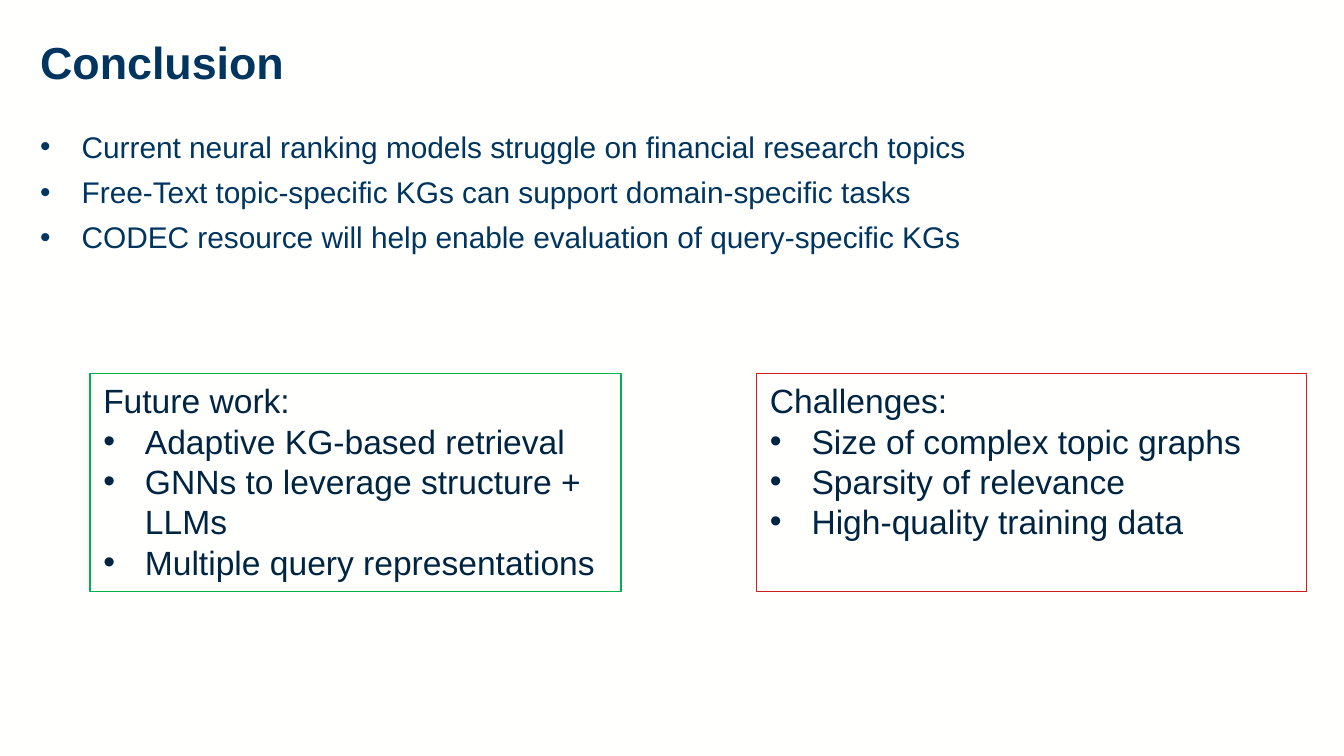
import pptx
import pptx.dml.color
import pptx.enum.shapes
import pptx.enum.text
import pptx.oxml
import pptx.oxml.ns
import pptx.util

Inches = pptx.util.Inches
Pt = pptx.util.Pt

COLOURS = {
    "background": "FFFFFE",
    "navy": "003560",
    "ink": "002542",
    "green": "00B050",
    "red": "CF1C20",
}


def colour(name):
    """Return the named colour."""
    return pptx.dml.color.RGBColor.from_string(COLOURS[name])


def write(paragraph, text, size, ink, bold=False, bullet=False, after=0):
    """Fill one paragraph with formatted text."""
    paragraph.alignment = pptx.enum.text.PP_ALIGN.LEFT
    paragraph.space_after = Pt(after)
    if bullet:
        properties = paragraph._p.get_or_add_pPr()
        indent = Inches(0.31)
        properties.set("marL", str(indent))
        properties.set("indent", str(-indent))
        for tag, key, value in (("buFont", "typeface", "Arial"), ("buChar", "char", "•")):
            element = pptx.oxml.parse_xml(f"<a:{tag} {pptx.oxml.ns.nsdecls('a')}/>")
            element.set(key, value)
            properties.append(element)
    run = paragraph.add_run()
    run.text = text
    run.font.name = "Arial"
    run.font.size = Pt(size)
    run.font.bold = bold
    run.font.color.rgb = colour(ink)


class SlideBuilder:
    """Hold the slide and the style of its elements."""

    def __init__(self, slide):
        """Set the slide and its background."""
        self.slide = slide
        slide.background.fill.solid()
        slide.background.fill.fore_color.rgb = colour("background")

    def fill_frame(self, shape, lines):
        """Write the lines as paragraphs of the shape."""
        frame = shape.text_frame
        frame.word_wrap = True
        frame.vertical_anchor = pptx.enum.text.MSO_ANCHOR.TOP
        for index, (text, style) in enumerate(lines):
            paragraph = frame.add_paragraph() if index else frame.paragraphs[0]
            write(paragraph, text, **style)

    def title(self, text, *place):
        """Add the slide title."""
        shape = self.slide.shapes.add_textbox(*map(Inches, place))
        self.fill_frame(shape, [(text, dict(size=24, ink="navy", bold=True))])

    def bullets(self, items, *place):
        """Add a bulleted text box."""
        shape = self.slide.shapes.add_textbox(*map(Inches, place))
        style = dict(size=16, ink="navy", bullet=True, after=5)
        self.fill_frame(shape, [(item, style) for item in items])

    def panel(self, heading, items, outline, *place):
        """Add an outlined box with a heading and bullets."""
        rectangle = pptx.enum.shapes.MSO_SHAPE.RECTANGLE
        shape = self.slide.shapes.add_shape(rectangle, *map(Inches, place))
        shape.shadow.inherit = False
        shape.fill.background()
        shape.line.color.rgb = colour(outline)
        shape.line.width = Pt(0.75)
        style = dict(size=18, ink="ink")
        lines = [(heading, style)]
        lines += [(item, dict(style, bullet=True)) for item in items]
        self.fill_frame(shape, lines)


def main():
    """Build and save the slide."""
    presentation = pptx.Presentation()
    presentation.slide_width = Inches(10)
    presentation.slide_height = Inches(10 * 9 / 16)
    builder = SlideBuilder(presentation.slides.add_slide(presentation.slide_layouts[6]))

    builder.title("Conclusion", 0.2, 0.21, 9.37, 0.5)
    builder.bullets([
        "Current neural ranking models struggle on financial research topics",
        "Free-Text topic-specific KGs can support domain-specific tasks",
        "CODEC resource will help enable evaluation of query-specific KGs",
    ], 0.2, 0.91, 9.53, 4.1)
    builder.panel("Future work:", [
        "Adaptive KG-based retrieval",
        "GNNs to leverage structure + LLMs",
        "Multiple query representations",
    ], "green", 0.67, 2.78, 3.95, 1.62)
    builder.panel("Challenges:", [
        "Size of complex topic graphs",
        "Sparsity of relevance",
        "High-quality training data",
    ], "red", 5.63, 2.78, 4.09, 1.62)

    presentation.save("out.pptx")


if __name__ == "__main__":
    main()
